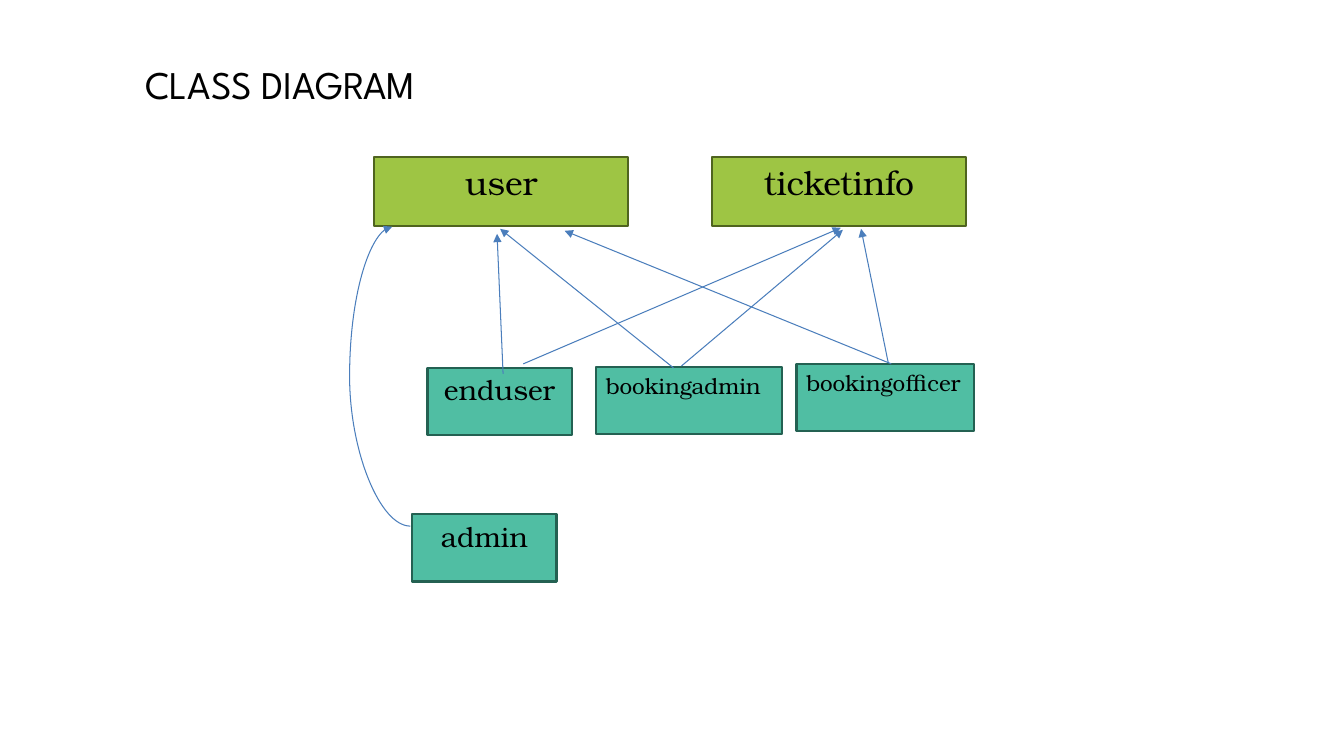
from pptx import Presentation
from pptx.dml.color import RGBColor
from pptx.enum.shapes import MSO_CONNECTOR as CONN, MSO_SHAPE as SHAPE
from pptx.enum.text import MSO_ANCHOR as ANCHOR, MSO_AUTO_SIZE as FIT, PP_ALIGN as ALIGN
from pptx.oxml.ns import qn
from pptx.util import Inches, Pt
from lxml.etree import SubElement

COLORS = {
    "text": "000000", "arrow": "4B7EBC",
    "base": "9EC544", "base_line": "4F641F",
    "role": "50BEA3", "role_line": "246152",
}
TITLE_FONT, CLASS_FONT = "League Spartan", "TeX Gyre Bonum"


def rgb(name):
    return RGBColor.from_string(COLORS[name])


def add_run(p, text, size, font):
    r = p.add_run()
    r.text = text
    r.font.size, r.font.name = Pt(size), font
    r.font.color.rgb = rgb("text")


def add_title(s, text, box):
    sp = s.shapes.title
    sp.left, sp.top, sp.width, sp.height = map(Inches, box)
    tf = sp.text_frame
    tf.auto_size, tf.vertical_anchor = FIT.NONE, ANCHOR.MIDDLE
    p = tf.paragraphs[0]
    p.alignment = ALIGN.LEFT
    add_run(p, text, 28, TITLE_FONT)


def add_class(s, name, kind, size, align, box):
    sp = s.shapes.add_shape(SHAPE.RECTANGLE, *map(Inches, box))
    sp.shadow.inherit = False
    sp.fill.solid()
    sp.fill.fore_color.rgb = rgb(kind)
    sp.line.color.rgb = rgb(kind + "_line")
    sp.line.width = Pt(1.5)
    tf = sp.text_frame
    tf.word_wrap, tf.vertical_anchor = True, ANCHOR.TOP
    p = tf.paragraphs[0]
    p.alignment = align
    add_run(p, name, size, CLASS_FONT)


def add_arrow(s, start, end, bend=None):
    kind = CONN.STRAIGHT if bend is None else CONN.CURVE
    cx = s.shapes.add_connector(kind, *map(Inches, start + end))
    cx.line.color.rgb = rgb("arrow")
    cx.line.width = Pt(0.75)
    sp_pr = cx._element.spPr
    SubElement(sp_pr.find(qn("a:ln")), qn("a:tailEnd"), type="triangle")
    SubElement(sp_pr, qn("a:effectLst"))
    if bend is not None:
        # Bend is the distance of the curve's middle from its start, in widths
        guides = sp_pr.find(qn("a:prstGeom")).get_or_add_avLst()
        SubElement(guides, qn("a:gd"), name="adj1", fmla=f"val {round(bend * 100000)}")


def add_diagram(s, left, top):
    # Base classes
    for name, x in (("user", 0), ("ticketinfo", 3.35)):
        add_class(s, name, "base", 24, ALIGN.CENTER, (left + x, top, 2.52, 0.68))

    # Roles: name, offset, width, text size, alignment
    roles = (
        ("enduser", 0.53, 2.09, 1.43, 20, ALIGN.CENTER),
        ("bookingadmin", 2.2, 2.08, 1.85, 16, ALIGN.LEFT),
        ("bookingofficer", 4.19, 2.05, 1.76, 16, ALIGN.LEFT),
        ("admin", 0.38, 3.54, 1.43, 20, ALIGN.CENTER),
    )
    for name, x, y, width, size, align in roles:
        add_class(s, name, "role", size, align, (left + x, top + y, width, 0.67))

    # Arrows from each role to its base classes
    arrows = (
        ((1.28, 2.15), (1.22, 0.76)),          # enduser to user
        ((1.48, 2.05), (4.63, 0.7)),           # enduser to ticketinfo
        ((2.97, 2.09), (1.25, 0.71)),          # bookingadmin to user
        ((3.05, 2.07), (4.65, 0.72)),          # bookingadmin to ticketinfo
        ((5.13, 2.05), (1.89, 0.73)),          # bookingofficer to user
        ((5.1, 2.04), (4.83, 0.71)),           # bookingofficer to ticketinfo
        ((0.36, 3.66), (0.18, 0.69), 3.35),    # admin to user
    )
    for (x1, y1), (x2, y2), *bend in arrows:
        add_arrow(s, (left + x1, top + y1), (left + x2, top + y2), *bend)


prs = Presentation()
prs.slide_width, prs.slide_height = Inches(13.33), Inches(7.5)
s = prs.slides.add_slide(prs.slide_layouts[5])
add_title(s, "CLASS DIAGRAM", (1.34, 0.52, 10.38, 0.62))
add_diagram(s, 3.71, 1.56)
prs.save("out.pptx")
